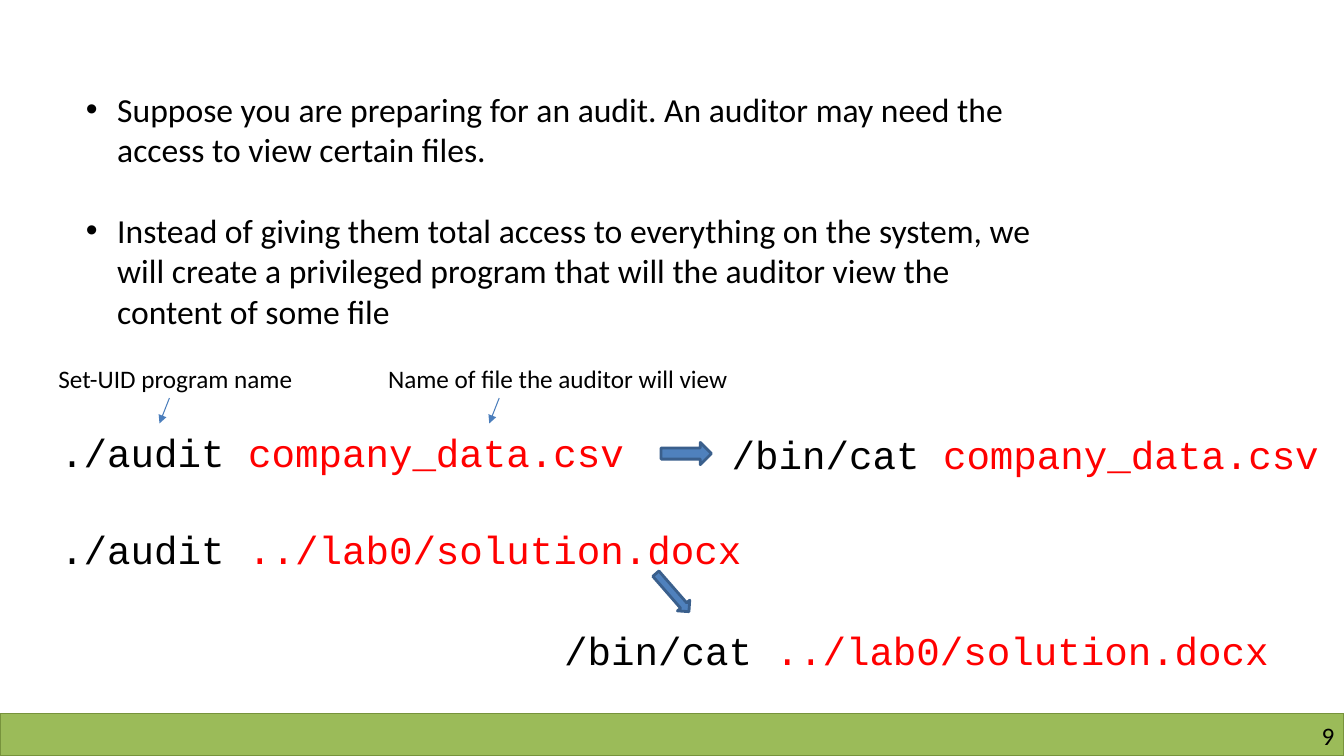
from lxml import etree
from pptx import Presentation
from pptx.dml.color import RGBColor
from pptx.enum.shapes import MSO_CONNECTOR, MSO_SHAPE
from pptx.enum.text import MSO_ANCHOR, MSO_AUTO_SIZE, PP_ALIGN
from pptx.oxml.ns import qn
from pptx.util import Cm, Pt

BLACK = RGBColor(0x00, 0x00, 0x00)
RED = RGBColor(0xFF, 0x00, 0x00)
GREEN = RGBColor(0x9B, 0xBB, 0x59)
OLIVE = RGBColor(0x77, 0x93, 0x3C)
BLUE = RGBColor(0x4F, 0x81, 0xBD)
NAVY = RGBColor(0x3A, 0x5F, 0x8C)
THIN_BLUE = RGBColor(0x4B, 0x7E, 0xBC)

SANS, MONO = "Calibri", "Courier New"
RECT, ARROW = MSO_SHAPE.RECTANGLE, MSO_SHAPE.RIGHT_ARROW
STRAIGHT = MSO_CONNECTOR.STRAIGHT
NO_FIT, TOP, RIGHT = MSO_AUTO_SIZE.NONE, MSO_ANCHOR.TOP, PP_ALIGN.RIGHT

WIDTH, HEIGHT = 33.87, 19.05
BAR_TOP = 17.98
LABEL_TOP = 9.02

POINTS = [
    "Suppose you are preparing for an audit. An auditor may need the "
    "access to view certain files.",
    "Instead of giving them total access to everything on the system, we "
    "will create a privileged program that will the auditor view the "
    "content of some file",
]
FILES = ["company_data.csv", "../lab0/solution.docx"]


def add_run(para, text, font, size, color=BLACK):
    run = para.add_run()
    run.text = text
    run.font.name = font
    run.font.size = Pt(size)
    run.font.color.rgb = color


def add_paras(frame, count, gap):
    """Return count paragraphs of the frame, gap points apart."""
    paras = [frame.paragraphs[0]]
    paras += [frame.add_paragraph() for _ in range(count - 1)]
    for i, para in enumerate(paras):
        para.space_before = Pt(gap if i else 0)
    return paras


def add_box(slide, left, top, width, height):
    box = slide.shapes.add_textbox(Cm(left), Cm(top), Cm(width), Cm(height))
    box.text_frame.word_wrap = True
    return box.text_frame


def add_points(slide):
    body = slide.placeholders[1]
    body.left, body.top = Cm(1.91), Cm(2.11)
    body.width, body.height = Cm(25.1), Cm(6.4)
    frame = body.text_frame
    frame.auto_size = NO_FIT
    frame.vertical_anchor = TOP
    for para, text in zip(add_paras(frame, len(POINTS), 29), POINTS):
        props = para._p.get_or_add_pPr()
        props.set("marL", str(Cm(0.79)))
        props.set("indent", str(-Cm(0.79)))
        add_run(para, text, SANS, 24)


def add_code(slide, left, top, width, height, command, names):
    """Write one line per file name, the name in red."""
    frame = add_box(slide, left, top, width, height)
    for para, name in zip(add_paras(frame, len(names), 35.5), names):
        add_run(para, command + " ", MONO, 28)
        add_run(para, name, MONO, 28, RED)


def add_label(slide, left, width, text):
    frame = add_box(slide, left, LABEL_TOP, width, 1.02)
    add_run(frame.paragraphs[0], text, SANS, 18)


def add_pointer(slide, left):
    """Draw a thin arrow from a label down to the code."""
    line = slide.shapes.add_connector(
        STRAIGHT, Cm(left), Cm(10.03), Cm(left - 0.25), Cm(10.67))
    line.line.color.rgb = THIN_BLUE
    line.line.width = Pt(0.75)
    etree.SubElement(line.get_or_add_ln(), qn("a:tailEnd"), type="triangle")
    etree.SubElement(line._element.spPr, qn("a:effectLst"))


def add_solid(slide, kind, left, top, width, height, fill, edge, weight):
    shape = slide.shapes.add_shape(
        kind, Cm(left), Cm(top), Cm(width), Cm(height))
    shape.shadow.inherit = False
    shape.fill.solid()
    shape.fill.fore_color.rgb = fill
    shape.line.color.rgb = edge
    shape.line.width = Pt(weight)
    return shape


def add_number(slide, text):
    frame = add_box(slide, 25.83, 18.16, 7.8, 0.76)
    frame.margin_left = frame.margin_right = 0
    frame.margin_top = frame.margin_bottom = 0
    para = frame.paragraphs[0]
    para.alignment = RIGHT
    add_run(para, text, SANS, 18)


def main():
    deck = Presentation()
    deck.slide_width, deck.slide_height = Cm(WIDTH), Cm(HEIGHT)
    slide = deck.slides.add_slide(deck.slide_layouts[1])
    title = slide.shapes.title._element
    title.getparent().remove(title)

    add_solid(slide, RECT, 0, BAR_TOP, WIDTH, HEIGHT - BAR_TOP,
              GREEN, OLIVE, 1)
    add_number(slide, "9")
    add_points(slide)

    add_code(slide, 1.27, 10.67, 32.6, 3.84, "./audit", FILES)
    add_label(slide, 1.22, 7.14, "Set-UID program name")
    add_pointer(slide, 4.27)
    add_label(slide, 9.53, 9.68, "Name of file the auditor will view")
    add_pointer(slide, 12.58)

    add_code(slide, 18.19, 10.72, 15.42, 1.45, "/bin/cat", FILES[:1])
    add_code(slide, 13.97, 15.65, 19, 1.45, "/bin/cat", FILES[1:])
    add_solid(slide, ARROW, 16.66, 11.15, 1.27, 0.56, BLUE, NAVY, 2)
    slant = add_solid(slide, ARROW, 16.31, 14.73, 1.27, 0.41, BLUE, NAVY, 2)
    slant.rotation = 48.9

    deck.save("out.pptx")


if __name__ == "__main__":
    main()
